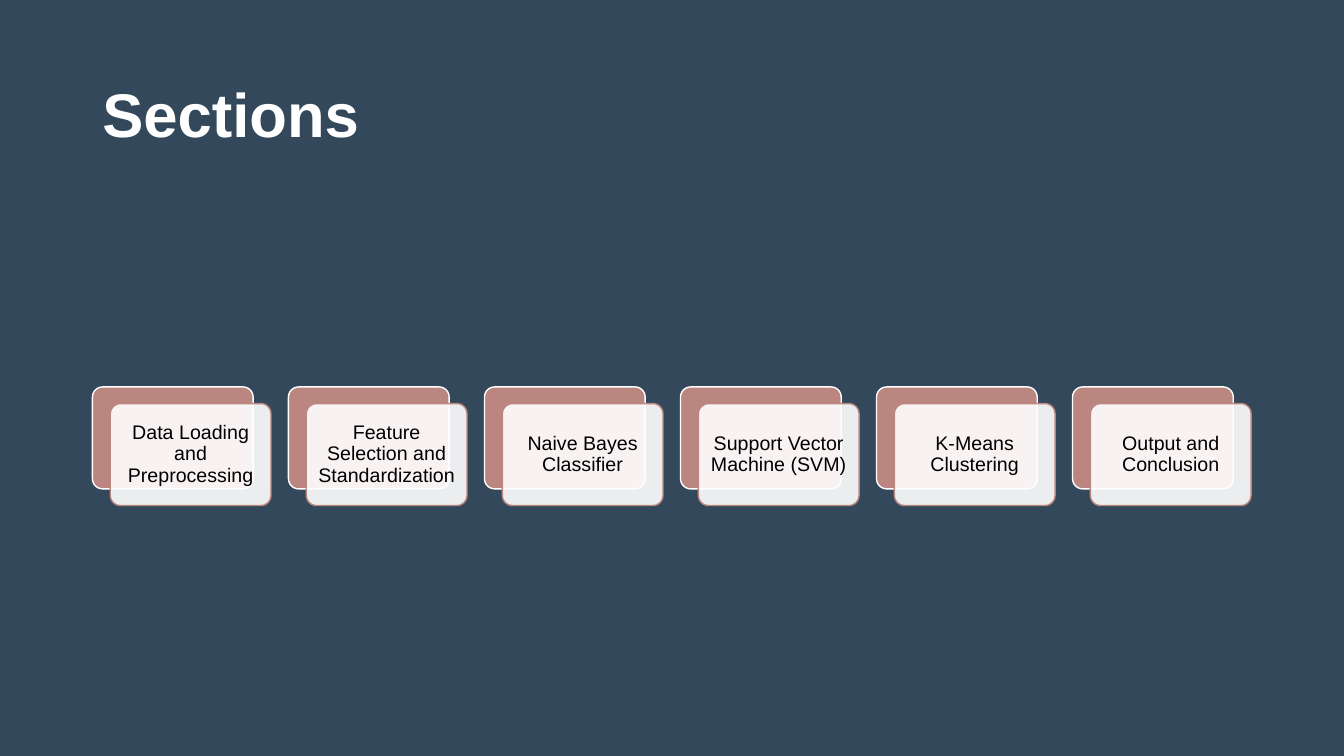
from lxml import etree
from pptx import Presentation
from pptx import util as u
from pptx.dml.color import RGBColor
from pptx.enum import shapes, text
from pptx.oxml import ns

COLORS = {
    "navy": "33495B",
    "rose": "BA867F",
    "white": "FFFFFF",
    "black": "000000",
}
SECTIONS = [
    "Data Loading and Preprocessing",
    "Feature Selection and Standardization",
    "Naive Bayes Classifier",
    "Support Vector Machine (SVM)",
    "K-Means Clustering",
    "Output and Conclusion",
]


def write(frame, words, size, color, bold=False, align=text.PP_ALIGN.LEFT,
          spacing=1.0, inset=(0.25, 0.13)):
    frame.word_wrap = True
    frame.auto_size = text.MSO_AUTO_SIZE.NONE
    frame.vertical_anchor = text.MSO_ANCHOR.MIDDLE
    frame.margin_left = frame.margin_right = u.Cm(inset[0])
    frame.margin_top = frame.margin_bottom = u.Cm(inset[1])
    paragraph = frame.paragraphs[0]
    paragraph.alignment = align
    paragraph.line_spacing = spacing
    run = paragraph.add_run()
    run.text = words
    run.font.name = "Arial"
    run.font.size = u.Pt(size)
    run.font.bold = bold
    run.font.color.rgb = RGBColor.from_string(COLORS[color])


def add_card(left, top, fill, line):
    card = slide.shapes.add_shape(
        shapes.MSO_SHAPE.ROUNDED_RECTANGLE,
        u.Cm(left), u.Cm(top), u.Cm(4.05), u.Cm(2.57))
    card.adjustments[0] = 0.1
    card.shadow.inherit = False
    card.fill.solid()
    card.fill.fore_color.rgb = RGBColor.from_string(COLORS[fill])
    card.line.color.rgb = RGBColor.from_string(COLORS[line])
    card.line.width = u.Pt(1)
    return card


deck = Presentation()
deck.slide_width = u.Cm(33.87)
deck.slide_height = u.Cm(19.05)
slide = deck.slides.add_slide(deck.slide_layouts[5])
slide.background.fill.solid()
slide.background.fill.fore_color.rgb = RGBColor.from_string(COLORS["navy"])

heading = slide.shapes.title
heading.left, heading.top = u.Cm(2.33), u.Cm(1.01)
heading.width, heading.height = u.Cm(29.21), u.Cm(3.68)
write(heading.text_frame, "Sections", 44, "white", bold=True)

for index, section in enumerate(SECTIONS):
    left = 2.33 + index * 4.94
    add_card(left, 9.75, "rose", "white")
    label = add_card(left + 0.45, 10.17, "white", "rose")
    fill_color = label.fill._xPr.find(ns.qn("a:solidFill"))[0]
    etree.SubElement(fill_color, ns.qn("a:alpha"), val="90000")
    write(label.text_frame, section, 14, "black",
          align=text.PP_ALIGN.CENTER, spacing=0.9, inset=(0.15, 0.15))

deck.save("out.pptx")
